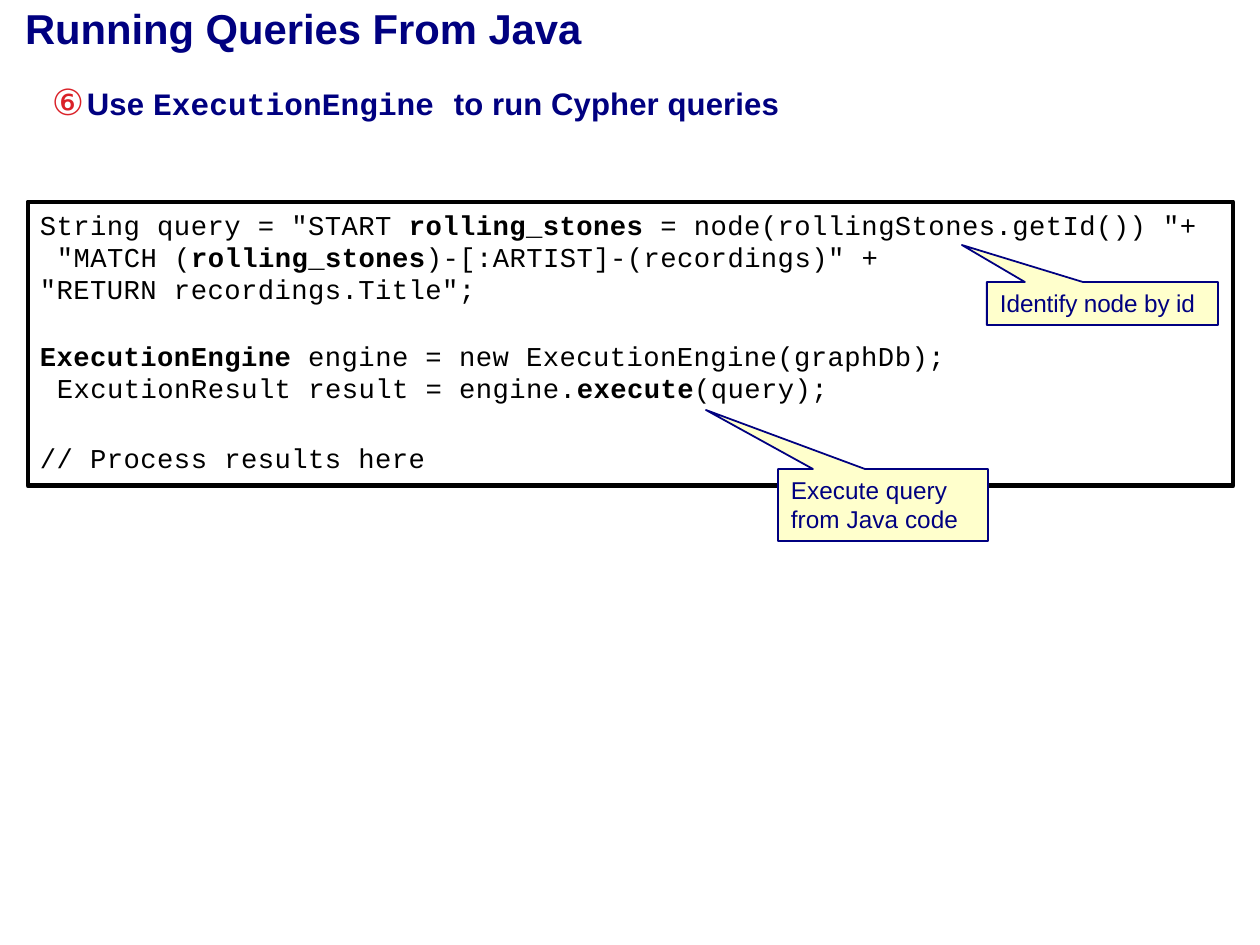
from dataclasses import dataclass

from pptx import Presentation
from pptx.dml.color import RGBColor
from pptx.enum.shapes import MSO_SHAPE as Shape
from pptx.enum.text import MSO_ANCHOR as Anchor, MSO_AUTO_SIZE as AutoSize, PP_ALIGN as Align
from pptx.util import Emu, Pt

EMU_PER_PX = 914400 // 140


@dataclass(frozen=True)
class Theme:
    navy: str = "000080"
    red: str = "DA2128"
    black: str = "000000"
    cream: str = "FFFFCC"
    sans: str = "Arial"
    mono: str = "Courier New"
    symbol: str = "Cabin"
    title: float = 21.5
    number: float = 18.5
    heading: float = 16
    code: float = 14
    callout: float = 12.5
    code_leading: float = 16.5


THEME = Theme()


def px(length):
    return Emu(length * EMU_PER_PX)


def color(value):
    return RGBColor.from_string(value)


def add_text(para, text, font=THEME.sans, size=THEME.code, fill=THEME.navy, bold=False, spacing=0):
    span = para.add_run()
    span.text = text
    span.font.name = font
    span.font.size = Pt(size)
    span.font.bold = bold
    span.font.color.rgb = color(fill)
    if spacing:
        span.font._element.set("spc", str(round(spacing * 100)))


def set_frame(frame, anchor=Anchor.TOP):
    frame.auto_size = AutoSize.NONE
    frame.word_wrap = True
    frame.vertical_anchor = anchor
    frame.margin_left = frame.margin_top = frame.margin_right = frame.margin_bottom = 0


def add_text_box(slide, left, top, width, height, anchor=Anchor.TOP):
    box = slide.shapes.add_textbox(px(left), px(top), px(width), px(height))
    set_frame(box.text_frame, anchor)
    return box.text_frame


def add_paragraph(frame, index):
    return frame.paragraphs[0] if index == 0 else frame.add_paragraph()


def style_shape(shape, line, weight, fill=None):
    shape.shadow.inherit = False
    if fill:
        shape.fill.solid()
        shape.fill.fore_color.rgb = color(fill)
    else:
        shape.fill.background()
    shape.line.color.rgb = color(line)
    shape.line.width = Pt(weight)


def set_title(slide, text):
    title = slide.shapes.title
    title.left, title.top, title.width, title.height = px(25), px(2), px(1213), px(52)
    set_frame(title.text_frame, Anchor.MIDDLE)
    para = title.text_frame.paragraphs[0]
    para.alignment = Align.LEFT
    add_text(para, text, size=THEME.title, bold=True)


def add_heading(slide):
    para = add_text_box(slide, 52, 80, 1150, 50).paragraphs[0]
    properties = para._p.get_or_add_pPr()
    properties.set("marL", str(px(35)))
    properties.set("indent", str(-px(35)))
    add_text(para, "⑥\t", font=THEME.symbol, size=THEME.number, fill=THEME.red)
    for text, font in (
        ("Use ", THEME.sans),
        ("ExecutionEngine ", THEME.mono),
        ("to run Cypher queries", THEME.sans),
    ):
        add_text(para, text, font=font, size=THEME.heading, bold=True, spacing=0.08)


def add_code_frame(slide):
    frame = slide.shapes.add_shape(Shape.RECTANGLE, px(28), px(202), px(1205), px(284))
    style_shape(frame, THEME.black, 2.5)


def add_code(slide, top, lines):
    frame = add_text_box(slide, 40, top, 1185, 32 * len(lines))
    for index, (indent, spans) in enumerate(lines):
        para = add_paragraph(frame, index)
        para.line_spacing = Pt(THEME.code_leading)
        para._p.get_or_add_pPr().set("marL", str(px(indent)))
        for text, bold in spans:
            add_text(para, text, font=THEME.mono, fill=THEME.black, bold=bold, spacing=0.19)


def add_callout(slide, left, top, width, height, tip, lines, spacing=0):
    right, bottom = left + width, top + height
    outline = slide.shapes.build_freeform(left, top, scale=EMU_PER_PX)
    outline.add_line_segments([
        (left + width // 6, top), tip, (left + width * 5 // 12, top),
        (right, top), (right, bottom), (left, bottom),
    ], close=True)
    style_shape(outline.convert_to_shape(), THEME.navy, 0.9, THEME.cream)
    frame = add_text_box(slide, left + 13, top - 1, width - 13, height, Anchor.MIDDLE)
    for index, line in enumerate(lines):
        add_text(add_paragraph(frame, index), line, size=THEME.callout, spacing=spacing)


def main():
    deck = Presentation()
    deck.slide_width, deck.slide_height = px(1260), px(945)
    slide = deck.slides.add_slide(deck.slide_layouts[5])
    set_title(slide, "Running Queries From Java")
    add_heading(slide)
    add_code_frame(slide)
    add_code(slide, 209, [
        (0, [('String query = "START ', False), ("rolling_stones", True),
             (' = node(rollingStones.getId()) "+', False)]),
        (17, [('"MATCH (', False), ("rolling_stones", True),
              (')-[:ARTIST]-(recordings)" +', False)]),
        (0, [('"RETURN recordings.Title";', False)]),
    ])
    add_code(slide, 340, [
        (0, [("ExecutionEngine", True), (" engine = new ExecutionEngine(graphDb);", False)]),
        (17, [("ExcutionResult result = engine.", False), ("execute", True), ("(query);", False)]),
    ])
    add_code(slide, 442, [(0, [("// Process results here", False)])])
    add_callout(slide, 778, 469, 210, 72, (706, 410), ["Execute query", "from Java code"], 0.05)
    add_callout(slide, 987, 282, 231, 43, (962, 245), ["Identify node by id"], -0.05)
    deck.save("out.pptx")


if __name__ == "__main__":
    main()
